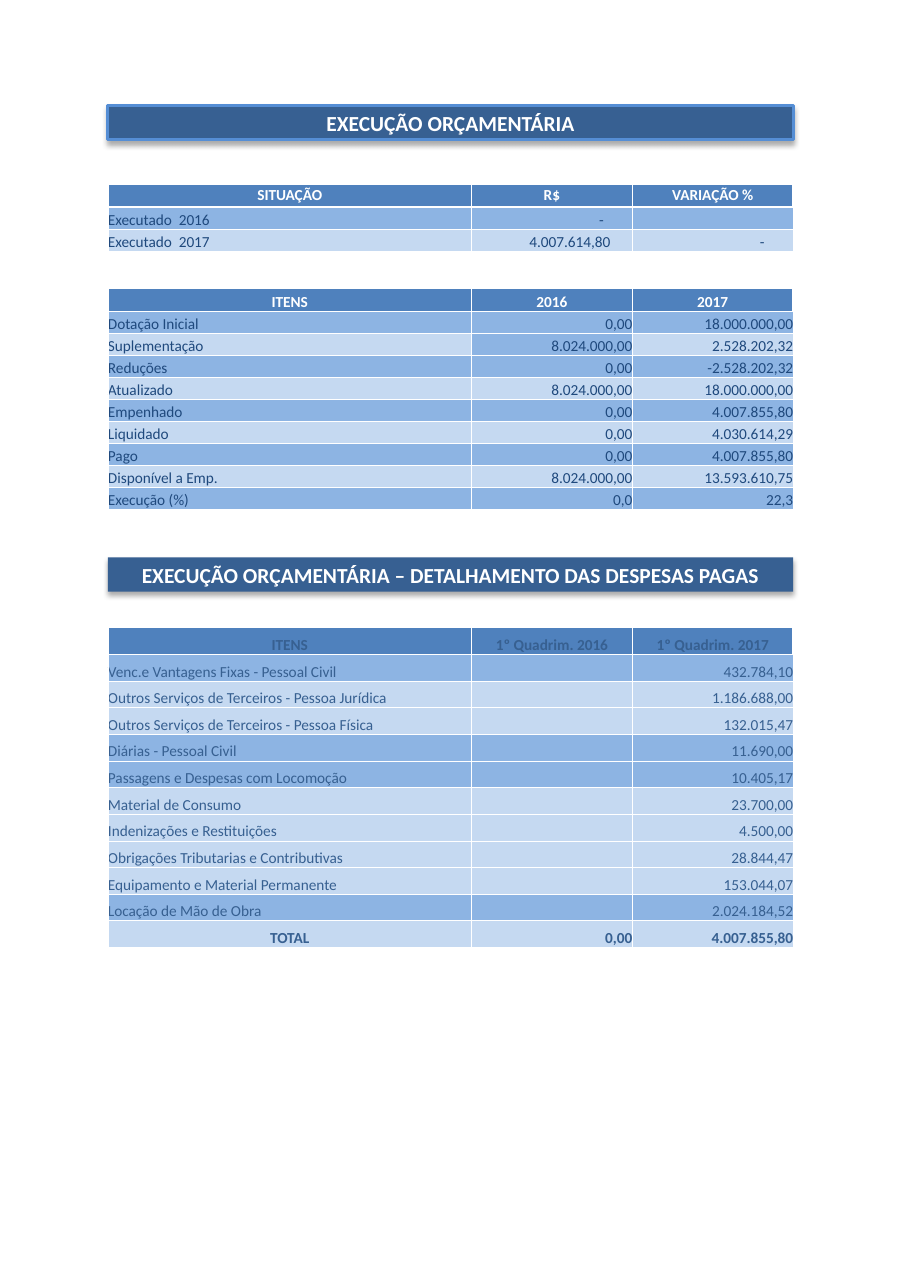
from lxml.etree import SubElement as Sub
from pptx import Presentation
from pptx.dml.color import RGBColor as RGB
from pptx.enum.shapes import MSO_SHAPE as Shape
from pptx.enum.text import MSO_ANCHOR as Anchor, PP_ALIGN as Align
from pptx.oxml.ns import qn
from pptx.util import Inches, Pt

HUE = {
    "bar": "376092", "rim": "558ED5", "head": "4F81BD",
    "mid": "8DB4E3", "pale": "C5D9F1", "white": "FFFFFF",
    "navy": "1F497D", "steel": "376091", "black": "000000",
}
LEFT, WIDTH = 0.98, 6.22
COLS = 3.3, 1.46, 1.46
MID, PALE = ["mid"] * 3, ["pale"] * 3


def write(frame, text, size=10, hue="navy", bold=False, align=Align.LEFT):
    para = frame.paragraphs[0]
    para.alignment = align
    if not text:
        Sub(para._p, qn("a:endParaRPr"), sz=str(size * 100))
        return
    run = para.add_run()
    run.text = text
    font = run.font
    font.name, font.size, font.bold = "Calibri", Pt(size), bold
    font.color.rgb = RGB.from_string(HUE[hue])


class Page:
    def __init__(self, deck):
        self.slide = deck.slides.add_slide(deck.slide_layouts[6])

    def paint(self, fill, hue):
        fill.solid()
        fill.fore_color.rgb = RGB.from_string(HUE[hue])

    def shade(self, shape):
        shape.shadow.inherit = False
        effects = shape._element.spPr.find(qn("a:effectLst"))
        outer = Sub(effects, qn("a:outerShdw"), blurRad=str(Pt(3.5)),
                    dist=str(Pt(2.2)), dir="5400000", rotWithShape="0")
        tint = Sub(outer, qn("a:srgbClr"), val=HUE["black"])
        Sub(tint, qn("a:alpha"), val="32000")

    def banner(self, top, text, rim=None):
        bar = self.slide.shapes.add_shape(
            Shape.RECTANGLE, Inches(LEFT), Inches(top), Inches(WIDTH), Inches(0.31))
        self.paint(bar.fill, "bar")
        if rim:
            self.paint(bar.line.fill, rim)
            bar.line.width = Pt(2)
        else:
            bar.line.fill.background()
        self.shade(bar)
        frame = bar.text_frame
        frame.word_wrap = True
        frame.vertical_anchor = Anchor.MIDDLE
        write(frame, text, size=14, hue="white", bold=True, align=Align.CENTER)

    def edge(self, cell, row):
        props = cell._tc.get_or_add_tcPr()
        for side in "LRTB":
            thick = row == 0 or (row == 1 and side == "T")
            line = Sub(props, qn("a:ln" + side), w=str(Pt(1 if thick else 0.5)))
            Sub(Sub(line, qn("a:solidFill")), qn("a:srgbClr"), val=HUE["white"])

    def cell(self, cell, row, text, tone, anchor=Anchor.BOTTOM, inset=0, **style):
        self.edge(cell, row)
        self.paint(cell.fill, tone)
        cell.margin_left = cell.margin_top = cell.margin_bottom = 0
        cell.margin_right = Inches(inset)
        cell.vertical_anchor = anchor
        write(cell.text_frame, text, **style)

    def table(self, top, height, first, heads, rows, tones, ink="navy",
              title="white", anchor=Anchor.BOTTOM, insets=None, total=False):
        insets = insets or {}
        grid = self.slide.shapes.add_table(
            len(rows) + 1, len(COLS), Inches(LEFT), Inches(top),
            Inches(WIDTH), Inches(height)).table
        for col, width in zip(grid.columns, COLS):
            col.width = Inches(width)
        for line in grid.rows:
            line.height = Inches((height - first) / len(rows))
        grid.rows[0].height = Inches(first)
        for c, text in enumerate(heads):
            self.cell(grid.cell(0, c), 0, text, "head", anchor,
                      hue=title, bold=True, align=Align.CENTER)
        for r, (texts, tone) in enumerate(zip(rows, tones), 1):
            last = total and r == len(rows)
            for c, text in enumerate(texts):
                name = Align.CENTER if last else Align.LEFT
                self.cell(grid.cell(r, c), r, text, tone[c],
                          inset=insets.get((r, c), 0), hue=ink, bold=last,
                          align=Align.RIGHT if c else name)


def main():
    deck = Presentation()
    deck.slide_width, deck.slide_height = Inches(8.27), Inches(11.69)
    page = Page(deck)

    page.banner(0.96, "EXECUÇÃO ORÇAMENTÁRIA", rim="rim")
    page.table(1.67, 0.61, 0.21, ["SITUAÇÃO", "R$", "VARIAÇÃO %"], [
        ("Executado  2016", "-", ""),
        ("Executado  2017", "4.007.614,80", "-"),
    ], [MID, PALE], anchor=Anchor.MIDDLE,
        insets={(1, 1): 0.26, (2, 1): 0.2, (2, 2): 0.26})

    page.table(2.62, 2.01, 0.21, ["ITENS", "2016", "2017"], [
        ("Dotação Inicial", "0,00", "18.000.000,00"),
        ("Suplementação", "8.024.000,00", "2.528.202,32"),
        ("Reduções", "0,00", "-2.528.202,32"),
        ("Atualizado", "8.024.000,00", "18.000.000,00"),
        ("Empenhado", "0,00", "4.007.855,80"),
        ("Liquidado", "0,00", "4.030.614,29"),
        ("Pago", "0,00", "4.007.855,80"),
        ("Disponível a Emp.", "8.024.000,00", "13.593.610,75"),
        ("Execução (%)", "0,0", "22,3"),
    ], [MID, ["pale", "mid", "pale"], MID] + [PALE, MID] * 3)

    page.banner(5.06, "EXECUÇÃO ORÇAMENTÁRIA – DETALHAMENTO DAS DESPESAS PAGAS")
    page.table(5.69, 2.91, 0.25, ["ITENS", "1º Quadrim. 2016", "1º Quadrim. 2017"], [
        ("Venc.e Vantagens Fixas - Pessoal Civil", "", "432.784,10"),
        ("Outros Serviços de Terceiros - Pessoa Jurídica", "", "1.186.688,00"),
        ("Outros Serviços de Terceiros - Pessoa Física", "", "132.015,47"),
        ("Diárias - Pessoal Civil", "", "11.690,00"),
        ("Passagens e Despesas com Locomoção", "", "10.405,17"),
        ("Material de Consumo", "", "23.700,00"),
        ("Indenizações e Restituições", "", "4.500,00"),
        ("Obrigações Tributarias e Contributivas", "", "28.844,47"),
        ("Equipamento e Material Permanente", "", "153.044,07"),
        ("Locação de Mão de Obra", "", "2.024.184,52"),
        ("TOTAL", "0,00", "4.007.855,80"),
    ], [MID] + [PALE] * 2 + [MID] * 2 + [PALE] * 4 + [MID, PALE],
        ink="steel", title="steel", total=True)

    deck.save("out.pptx")


if __name__ == "__main__":
    main()
